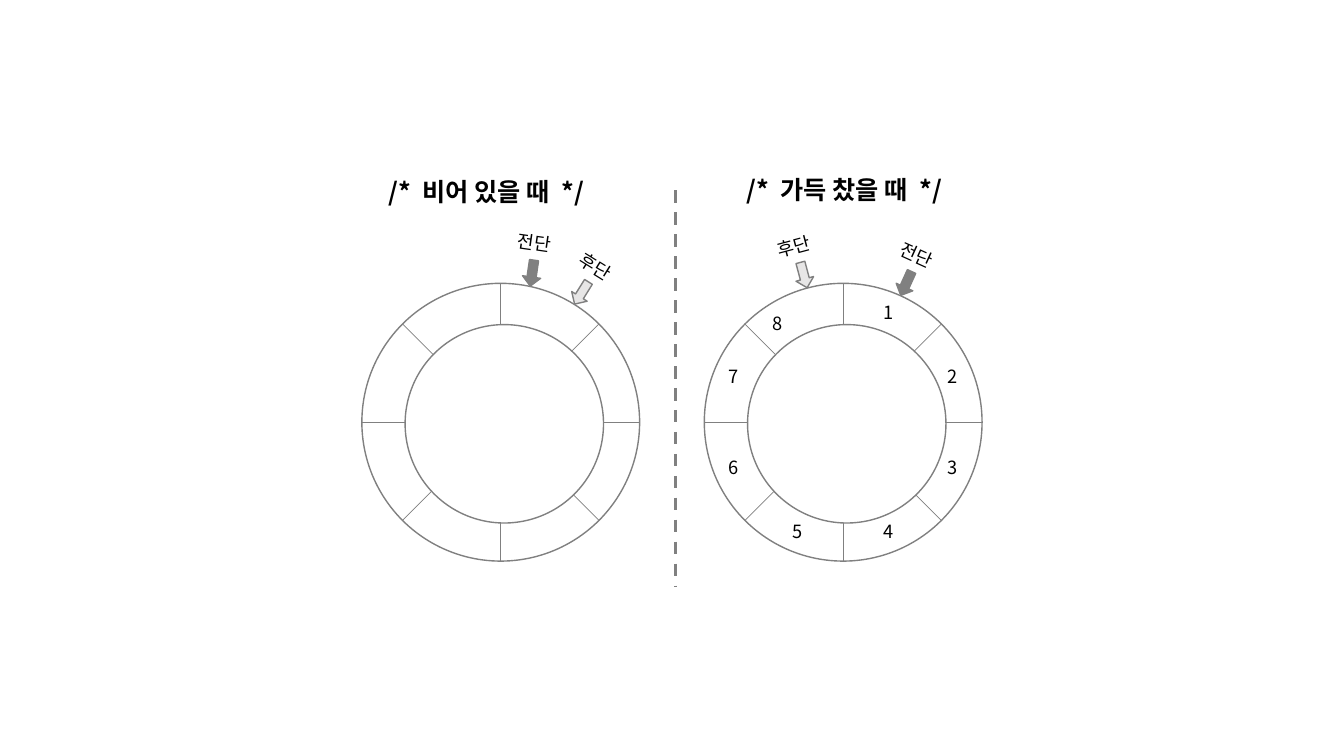
import math

from lxml import etree
from pptx import Presentation
from pptx.dml.color import RGBColor
from pptx.enum import dml, shapes, text
from pptx.oxml import ns
from pptx.util import Cm, Pt

GRAY = RGBColor(0x80, 0x80, 0x80)
LIGHT = RGBColor(0xE7, 0xE6, 0xE6)
WHITE = RGBColor(0xFF, 0xFF, 0xFF)
BLACK = RGBColor(0, 0, 0)
FONT = "Noto Sans CJK KR"

RING_SIZE = 7.0
HOLE_SIZE = 5.0
ARROW_RADIUS = 3.84
LABEL_GAP = 0.76
NUMBER_RADIUS = 2.99


def polar(center, radius, bearing):
    """Return the point at a clockwise bearing in degrees from straight up."""
    angle = math.radians(bearing)
    return center[0] + radius * math.sin(angle), center[1] - radius * math.cos(angle)


def add_centered_shape(parent, kind, center, width, height, fill):
    shape = parent.add_shape(kind, Cm(center[0] - width / 2), Cm(center[1] - height / 2),
                             Cm(width), Cm(height))
    shape.shadow.inherit = False
    shape.fill.solid()
    shape.fill.fore_color.rgb = fill
    shape.line.color.rgb = GRAY
    shape.line.width = Pt(1)
    return shape


def add_line(parent, start, end, width):
    line = parent.add_connector(shapes.MSO_CONNECTOR.STRAIGHT,
                                Cm(start[0]), Cm(start[1]), Cm(end[0]), Cm(end[1]))
    line.line.color.rgb = GRAY
    line.line.width = Pt(width)
    etree.SubElement(line._element.spPr, ns.qn("a:effectLst"))
    return line


def add_text(parent, box, runs, size, bold=False):
    """Add one unwrapped line; a run that is only a space is widened."""
    shape = parent.add_textbox(*(Cm(length) for length in box))
    frame = shape.text_frame
    frame.word_wrap = False
    frame.auto_size = text.MSO_AUTO_SIZE.SHAPE_TO_FIT_TEXT
    for words in runs:
        run = frame.paragraphs[0].add_run()
        run.text = words
        run.font.size = Pt(size)
        run.font.bold = bold
        run.font.color.rgb = BLACK
        run.font.name = FONT
        properties = run.font._element
        etree.SubElement(properties, ns.qn("a:ea")).set("typeface", FONT)
        if words == " ":
            properties.set("spc", "400")
    return shape


def add_label(parent, center, width, words):
    height = 0.81
    box = center[0] - width / 2, center[1] - height / 2, width, height
    return add_text(parent, box, [words], 13)


def add_heading(slide, left, top, words):
    add_text(slide.shapes, (left, top, 5.77, 1.02), ["/*", " ", words, " ", "*/"], 18, True)


def add_pointer(slide, center, words, fill, bearing, tilt):
    group = slide.shapes.add_group_shape().shapes
    tip = polar(center, ARROW_RADIUS, bearing)
    arrow = add_centered_shape(group, shapes.MSO_SHAPE.DOWN_ARROW, tip, 0.46, 0.66, fill)
    label = add_label(group, polar(tip, LABEL_GAP, tilt), 1.45, words)
    arrow.rotation = label.rotation = tilt


def add_ring(slide, left, top, pointers, number_bearings=()):
    """Draw a circular queue of eight cells in the square at left, top."""
    radius = RING_SIZE / 2
    center = left + radius, top + radius
    circle = shapes.MSO_SHAPE.OVAL
    add_centered_shape(slide.shapes, circle, center, RING_SIZE, RING_SIZE, WHITE)
    for bearing in range(0, 180, 45):
        add_line(slide.shapes, polar(center, radius, bearing),
                 polar(center, radius, bearing + 180), 0.5)
    hole_center = center[0] + 0.09, center[1] + 0.04
    add_centered_shape(slide.shapes, circle, hole_center, HOLE_SIZE, HOLE_SIZE, WHITE)
    for pointer in pointers:
        add_pointer(slide, center, *pointer)
    for number, bearing in enumerate(number_bearings, 1):
        add_label(slide.shapes, polar(center, NUMBER_RADIUS, bearing), 0.76, str(number))


def main():
    presentation = Presentation()
    presentation.slide_width = Cm(33.87)
    presentation.slide_height = Cm(19.05)
    slide = presentation.slides.add_slide(presentation.slide_layouts[6])

    add_ring(slide, 9.12, 7.14, [("후단", LIGHT, 32, 32), ("전단", GRAY, 11.9, 8.3)])
    # The last number stands clear of the rear pointer.
    bearings = [22.5 + 45 * cell for cell in range(7)] + [326.5]
    add_ring(slide, 17.75, 7.14, [("후단", LIGHT, -15, -15), ("전단", GRAY, 24.4, 24.4)],
             bearings)
    add_heading(slide, 9.55, 4.32, "비어 있을 때")
    add_heading(slide, 18.57, 4.27, "가득 찼을 때")
    divider = add_line(slide.shapes, (17.02, 4.8), (17.02, 14.78), 2.25)
    divider.line.dash_style = dml.MSO_LINE.DASH

    presentation.save("out.pptx")


if __name__ == "__main__":
    main()
